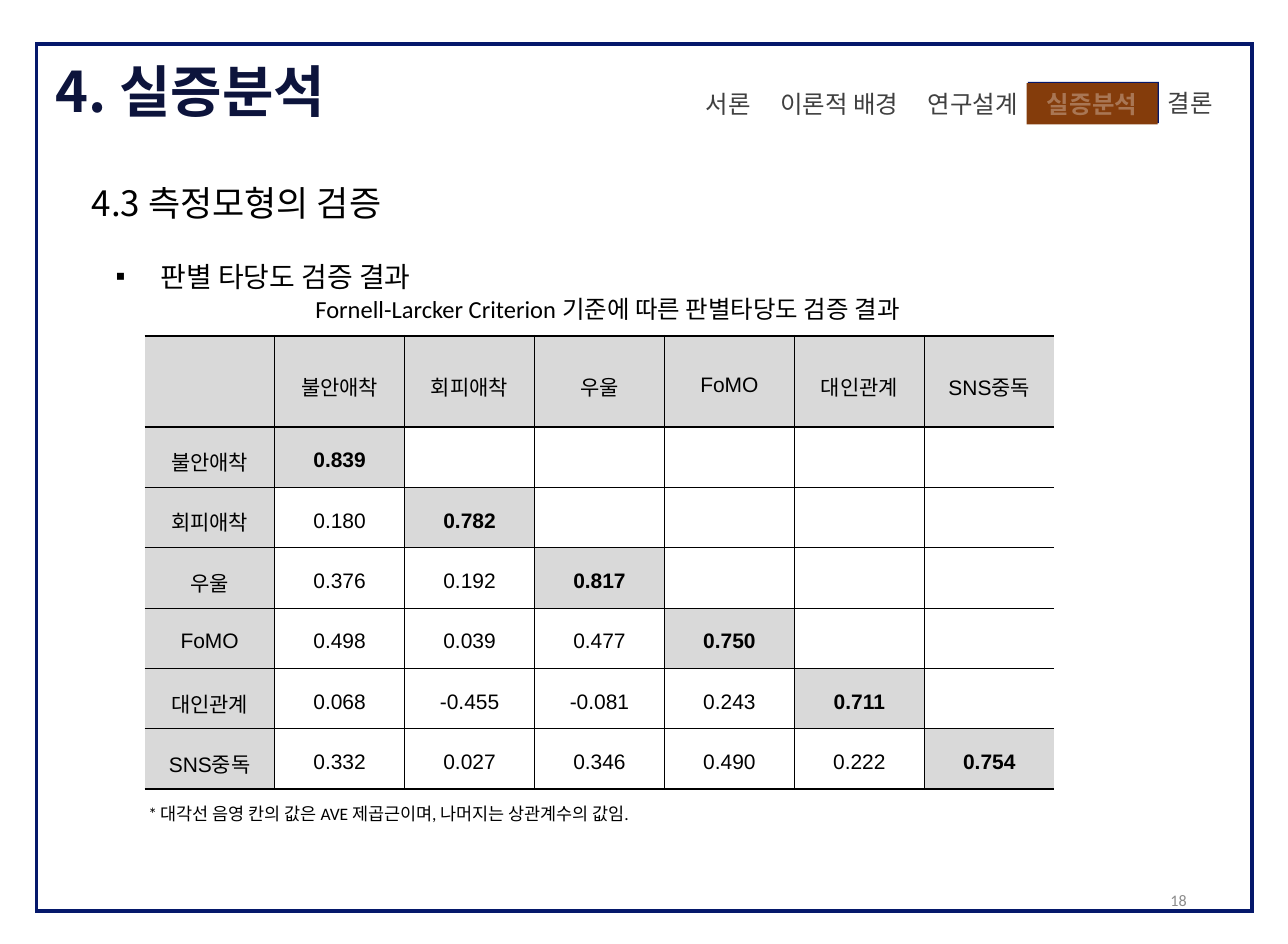
from pptx import Presentation, util as u
from pptx.dml.color import RGBColor
from pptx.enum import shapes, text
from pptx.oxml.ns import qn
from lxml import etree

NAVY = RGBColor(0x05, 0x18, 0x6B)
TITLE = RGBColor(0x0D, 0x14, 0x3C)
BROWN = RGBColor(0x84, 0x3C, 0x0B)
SHADE = RGBColor(0xD9, 0xD9, 0xD9)
GRAY = RGBColor(0x40, 0x40, 0x40)
PALE = RGBColor(0x8C, 0x8C, 0x8C)
BLACK = RGBColor(0, 0, 0)
WHITE = RGBColor(255, 255, 255)
CJK = "Noto Sans CJK KR"
LEFT, CENTER, RIGHT = text.PP_ALIGN.LEFT, text.PP_ALIGN.CENTER, text.PP_ALIGN.RIGHT

prs = Presentation()
prs.slide_width = u.Cm(26)
prs.slide_height = u.Inches(7.5)
s = prs.slides.add_slide(prs.slide_layouts[5])


def write(tf, words, size, font, color, bold=False, align=LEFT, spacing=1.0):
    p = tf.paragraphs[0]
    p.alignment, p.line_spacing = align, spacing
    r = p.add_run()
    r.text = words
    for key, value in {"size": u.Pt(size), "name": font, "bold": bold}.items():
        setattr(r.font, key, value)
    r.font.color.rgb = color
    return p


def place(box, kind=None):
    box = [u.Inches(v) for v in box]
    if kind is None:
        sp = s.shapes.add_textbox(*box)
        sp.text_frame.word_wrap = True
    else:
        sp = s.shapes.add_shape(kind, *box)
        sp.shadow.inherit = False
    return sp


# Frame with square corners
RECT = shapes.MSO_SHAPE.RECTANGLE
frame = place((0.29, 0.35, 9.66, 6.89), RECT)
frame.fill.background()
frame.line.color.rgb, frame.line.width = NAVY, u.Pt(2)
etree.SubElement(frame.line._get_or_add_ln(), qn("a:miter"), lim="800000")

# Title
title = s.shapes.title
for key, value in {"left": 0.34, "top": 0.4, "width": 3.79, "height": 0.64}.items():
    setattr(title, key, u.Inches(value))
title.text_frame.auto_size = text.MSO_AUTO_SIZE.NONE
title.text_frame.vertical_anchor = text.MSO_ANCHOR.MIDDLE
p = write(title.text_frame, "4. 실증분석", 32, CJK, TITLE, bold=True)
etree.SubElement(p.runs[0]._r.get_or_add_rPr(), qn("a:ea"), typeface=CJK)

# Section tabs, the current one highlighted
for left, top, color in ((8.17, 0.65, NAVY), (8.16, 0.66, BROWN)):
    tab = place((left, top, 1.04, 0.33), RECT)
    tab.fill.solid()
    tab.fill.fore_color.rgb = color
    tab.line.fill.background()
tab.text_frame.vertical_anchor = text.MSO_ANCHOR.MIDDLE
p = write(tab.text_frame, "실증분석", 14, "Arial", WHITE, bold=True, align=CENTER)
etree.SubElement(p._p.find(".//" + qn("a:srgbClr")), qn("a:alpha"), val="30000")
for label, left, top in (("서론", 5.16, 0.66), ("이론적 배경", 6.04, 0.66),
                         (" 연구설계", 7.08, 0.66), (" 결론", 8.81, 0.65)):
    write(place((left, top, 1.26, 0.34)).text_frame, label, 14, "Arial", GRAY, align=CENTER)

# Headings, caption, footnote and page number
write(place((0.63, 1.39, 2.62, 0.44)).text_frame, "4.3 측정모형의 검증", 20, CJK, BLACK)
p = write(place((0.82, 1.88, 8.71, 0.45)).text_frame, " 판별 타당도 검증 결과",
          16, "Arial", BLACK, spacing=1.5)
pPr = p._p.get_or_add_pPr()
pPr.set("marL", str(u.Inches(0.31)))
pPr.set("indent", str(-u.Inches(0.31)))
etree.SubElement(pPr, qn("a:buFont"), typeface="Arial")
etree.SubElement(pPr, qn("a:buChar"), char="▪")
write(place((1.28, 2.29, 7.1, 0.34)).text_frame,
      "Fornell-Larcker Criterion 기준에 따른 판별타당도 검증 결과", 14, "Calibri", BLACK, align=CENTER)
write(place((1.08, 6.33, 5.12, 0.27)).text_frame,
      "* 대각선 음영 칸의 값은 AVE 제곱근이며, 나머지는 상관계수의 값임.", 10, "Calibri", BLACK)
number = place((7.23, 6.95, 2.3, 0.4)).text_frame
number.vertical_anchor = text.MSO_ANCHOR.MIDDLE
write(number, "18", 9.2, "Calibri", PALE, align=RIGHT)

# Discriminant validity table: lower triangle with a shaded diagonal
factors = ["불안애착", "회피애착", "우울", "FoMO", "대인관계", "SNS중독"]
values = [["0.839"],
          ["0.180", "0.782"],
          ["0.376", "0.192", "0.817"],
          ["0.498", "0.039", "0.477", "0.750"],
          ["0.068", "-0.455", "-0.081", "0.243", "0.711"],
          ["0.332", "0.027", "0.346", "0.490", "0.222", "0.754"]]
rows = [[""] + factors] + [[name] + line for name, line in zip(factors, values)]
n = len(rows)
table = s.shapes.add_table(n, n, u.Inches(1.15), u.Inches(2.67),
                           u.Inches(7.23), u.Inches(3.59)).table
table.first_row = table.horz_banding = False
THIN, THICK = u.Pt(0.28), u.Pt(1.41)
for i in range(n):
    table.columns[i].width = u.Inches(7.23 / n)
    table.rows[i].height = u.Inches(0.48 if i else 0.72)
    for j in range(n):
        cell = table.cell(i, j)
        cell.vertical_anchor = text.MSO_ANCHOR.MIDDLE
        if j < len(rows[i]) and rows[i][j]:
            write(cell.text_frame, rows[i][j], 12, "Arial", BLACK,
                  bold=i == j, align=CENTER, spacing=1.3)
        # Open outer sides, thick rules around the header and at the bottom
        edges = {"a:lnL": THIN if j else 0, "a:lnR": THIN if j < n - 1 else 0,
                 "a:lnT": THICK if i < 2 else THIN,
                 "a:lnB": THICK if i in (0, n - 1) else THIN}
        tcPr = cell._tc.get_or_add_tcPr()
        for tag, width in edges.items():
            ln = etree.SubElement(tcPr, qn(tag), w=str(width))
            if width:
                fill = etree.SubElement(ln, qn("a:solidFill"))
                etree.SubElement(fill, qn("a:srgbClr"), val=str(BLACK))
            else:
                etree.SubElement(ln, qn("a:noFill"))
        if i == 0 or j == 0 or i == j:
            cell.fill.solid()
            cell.fill.fore_color.rgb = SHADE
        else:
            cell.fill.background()

prs.save("out.pptx")
